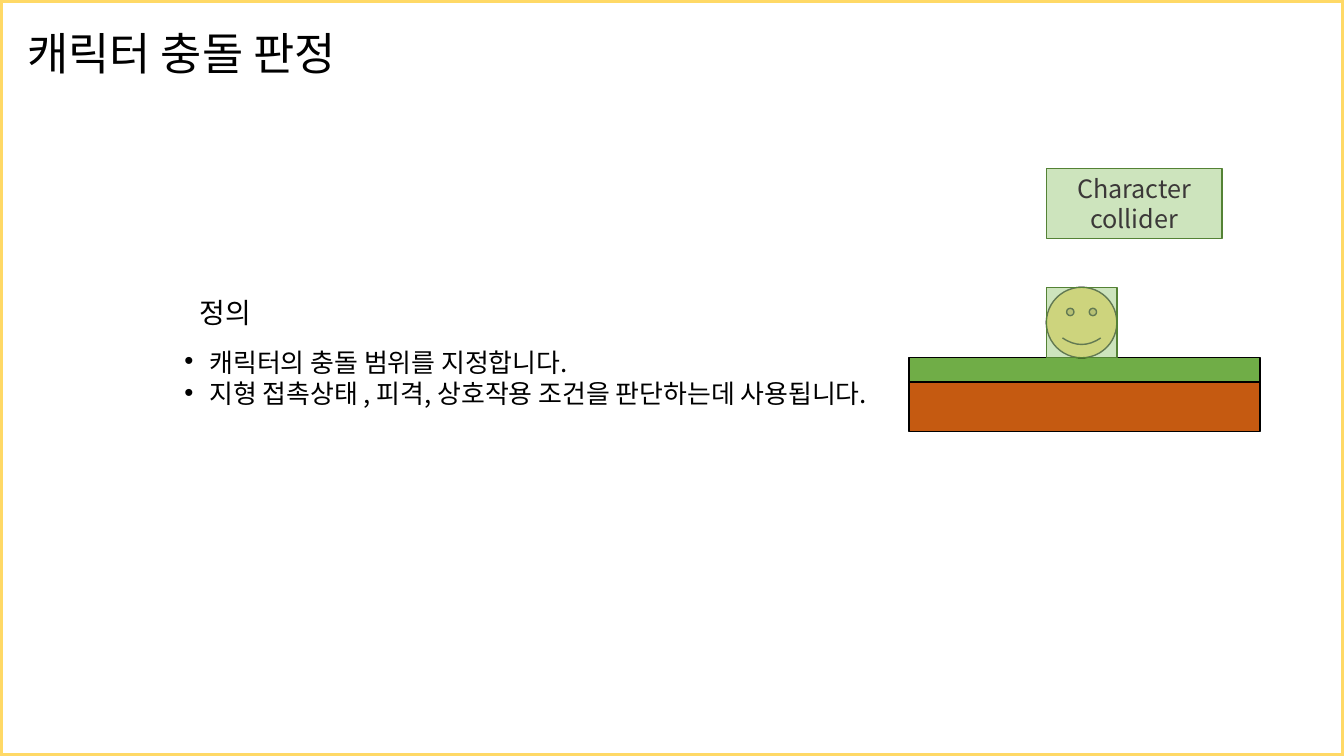
import pptx
import pptx.util
import pptx.dml.color
import pptx.enum.shapes
import pptx.enum.text
import pptx.oxml.ns
import lxml.etree

Pt = pptx.util.Pt
RGB = pptx.dml.color.RGBColor
SHAPE = pptx.enum.shapes.MSO_SHAPE
ALIGN = pptx.enum.text.PP_ALIGN
ANCHOR = pptx.enum.text.MSO_ANCHOR
qn = pptx.oxml.ns.qn

BLACK = RGB(0, 0, 0)
INK = RGB(0x3B, 0x38, 0x38)
GOLD = RGB(0xFF, 0xD9, 0x66)
GRASS = RGB(0x70, 0xAD, 0x47)
SOIL = RGB(0xC5, 0x5A, 0x11)
MINT = RGB(0xA9, 0xD1, 0x8E)
GREEN = RGB(0x54, 0x82, 0x35)
FONT = "Noto Sans CJK KR"
WIDE, HIGH = 960, 540


def write(frame, *lines, size=18, color=BLACK, align=ALIGN.LEFT,
          anchor=ANCHOR.TOP, space=1.0, before=0, bullet=None):
    """Fill a text frame, one paragraph per line."""
    frame.word_wrap = True
    frame.auto_size = pptx.enum.text.MSO_AUTO_SIZE.NONE
    frame.vertical_anchor = anchor
    for i, line in enumerate(lines):
        para = frame.add_paragraph() if i else frame.paragraphs[0]
        para.alignment = align
        para.line_spacing = space
        para.space_before = Pt(before)
        run = para.add_run()
        run.text = line
        run.font.size = Pt(size)
        run.font.name = FONT
        run.font.color.rgb = color
        east = lxml.etree.SubElement(run.font._element, qn("a:ea"))
        east.set("typeface", FONT)
        if bullet:
            props = para._p.get_or_add_pPr()
            props.set("marL", str(Pt(18)))
            props.set("indent", str(Pt(-18)))
            lxml.etree.SubElement(props, qn("a:buChar")).set("char", bullet)


class Deck:
    def __init__(self):
        self.file = pptx.Presentation()
        self.file.slide_width = Pt(WIDE)
        self.file.slide_height = Pt(HIGH)
        self.slide = self.file.slides.add_slide(self.file.slide_layouts[1])

    def holder(self, index, box, *lines, **style):
        item = self.slide.placeholders[index]
        item.left, item.top, item.width, item.height = map(Pt, box)
        write(item.text_frame, *lines, **style)

    def label(self, box, *lines, **style):
        item = self.slide.shapes.add_textbox(*map(Pt, box))
        write(item.text_frame, *lines, **style)

    def shape(self, kind, box, fill=None, line=BLACK, width=1, alpha=None,
              group=None):
        home = (group or self.slide).shapes
        item = home.add_shape(kind, *map(Pt, box))
        item.shadow.inherit = False
        item.line.color.rgb = line
        item.line.width = Pt(width)
        if fill is None:
            item.fill.background()
        else:
            item.fill.solid()
            item.fill.fore_color.rgb = fill
        if alpha:
            tint = item._element.spPr.find(qn("a:solidFill"))[0]
            lxml.etree.SubElement(tint, qn("a:alpha")).set(
                "val", str(alpha * 1000))
        return item

    def hitbox(self, box):
        return self.shape(SHAPE.RECTANGLE, box, MINT, GREEN, alpha=58)


deck = Deck()

# Title, heading and definition list
deck.holder(0, (12.2, 10.8, 269.3, 58.3), "캐릭터 충돌 판정",
            size=32, anchor=ANCHOR.MIDDLE, space=0.9)
deck.holder(1, (124.5, 249.8, 540, 65.5), "캐릭터의 충돌 범위를 지정합니다.",
            "지형 접촉상태 , 피격, 상호작용 조건을 판단하는데 사용됩니다.",
            size=18.5, space=0.7, before=7, bullet="•")
deck.label((135.4, 210.2, 146.2, 31), "정의", size=20, space=0.9, before=10)

# Slide border
deck.shape(SHAPE.RECTANGLE, (0, 0, WIDE, HIGH), line=GOLD, width=4.5)

# Ground: grass over soil
LEFT, FLOOR, SPAN = 649.2, 255.6, 250.8
ground = deck.slide.shapes.add_group_shape()
top = FLOOR
for tall, fill in ((17.4, GRASS), (35.2, SOIL)):
    deck.shape(SHAPE.RECTANGLE, (LEFT, top, SPAN, tall), fill, group=ground)
    top += tall

# Character standing on the ground, with its collider
SIDE, EDGE = 50.4, 747.4
body = (EDGE, FLOOR - SIDE, SIDE, SIDE)
deck.shape(SHAPE.SMILEY_FACE, body, GOLD)
deck.hitbox(body)

# Collider legend
legend = deck.hitbox((EDGE, 120.2, 125.6, SIDE))
write(legend.text_frame, "Character", "collider", color=INK,
      align=ALIGN.CENTER, anchor=ANCHOR.MIDDLE)

deck.file.save("out.pptx")
